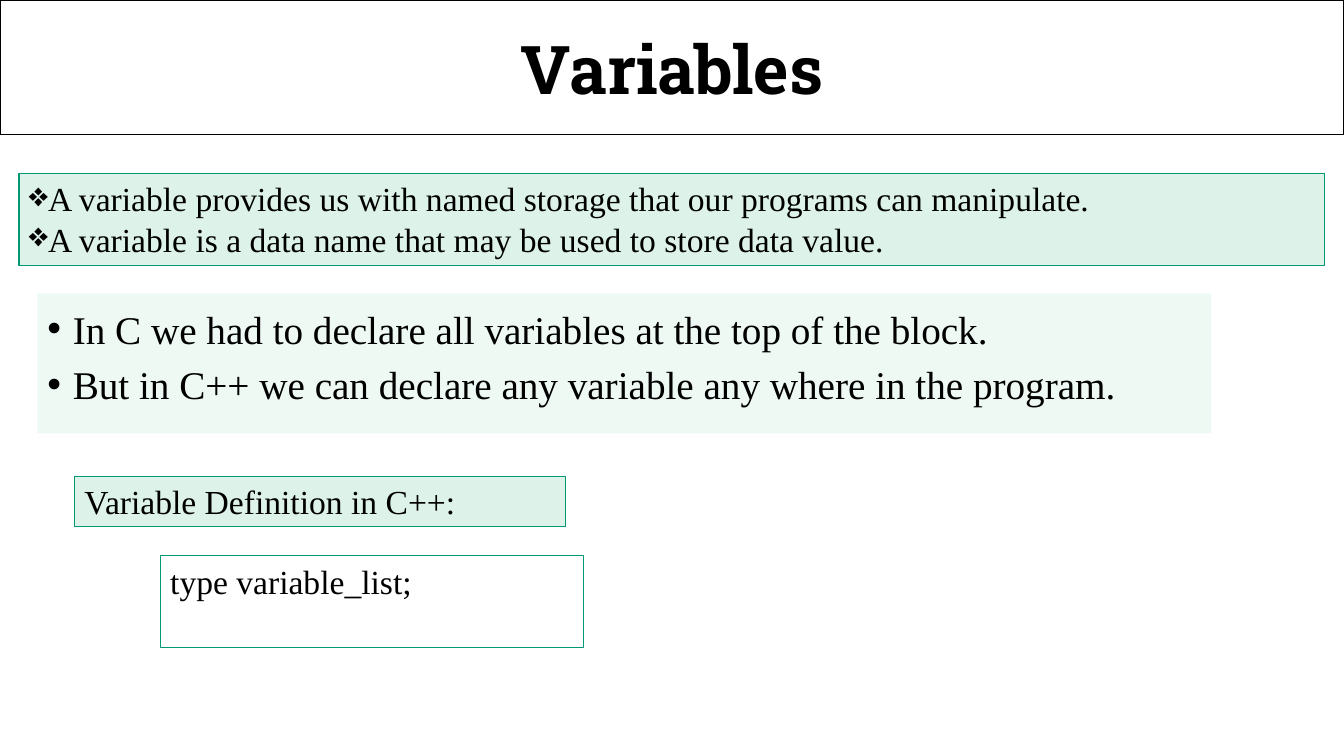
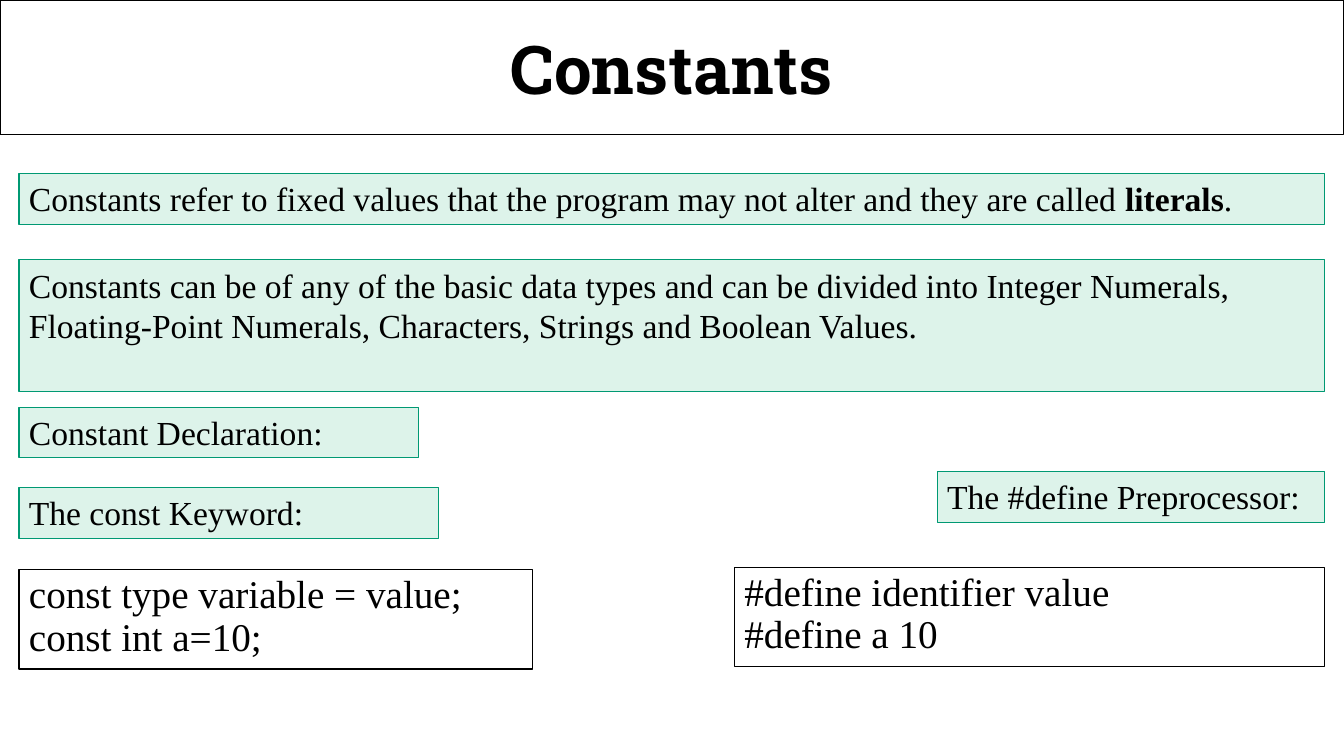
from dataclasses import dataclass
from typing import Any

from lxml.etree import SubElement
from pptx import Presentation
from pptx.dml.color import RGBColor
from pptx.enum.text import MSO_ANCHOR, MSO_AUTO_SIZE, PP_ALIGN
from pptx.oxml.ns import qn
from pptx.util import Cm, Pt


@dataclass(frozen=True)
class Theme:
    ink: RGBColor = RGBColor(0x00, 0x00, 0x00)
    paper: RGBColor = RGBColor(0xFF, 0xFF, 0xFF)
    mint: RGBColor = RGBColor(0xDD, 0xF3, 0xEA)
    pale_mint: RGBColor = RGBColor(0xEE, 0xF9, 0xF4)
    green: RGBColor = RGBColor(0x00, 0x99, 0x73)
    title_font: str = "Roboto Slab"
    text_font: str = "Times New Roman"
    title_size: int = 48
    large_size: int = 28
    text_size: int = 24
    border: float = 0.75


THEME = Theme()
WIDTH, HEIGHT = 33.87, 19.05
TITLE_HEIGHT = 3.4
MARGIN = 0.48
RIGHT = WIDTH - MARGIN
FULL = RIGHT - MARGIN
LABEL_HEIGHT = 1.28
TITLE_AND_BODY, TITLE_ONLY = 1, 5


@dataclass(frozen=True)
class Style:
    fill: RGBColor
    line: RGBColor | None
    size: int = THEME.text_size
    font: str = THEME.text_font
    bold: bool = False
    align: PP_ALIGN = PP_ALIGN.LEFT
    anchor: MSO_ANCHOR = MSO_ANCHOR.TOP
    line_spacing: float = 1.0
    space_before: float = 0
    bullet: str = ""
    indent: float = 0


TITLE = Style(THEME.paper, THEME.ink, THEME.title_size, THEME.title_font, True,
              PP_ALIGN.CENTER, MSO_ANCHOR.MIDDLE)
NOTE = Style(THEME.mint, THEME.green)
POINTS = Style(THEME.mint, THEME.green, align=PP_ALIGN.JUSTIFY, bullet="❖")
SYNTAX = Style(THEME.paper, THEME.green)
CODE = Style(THEME.paper, THEME.ink, THEME.large_size, line_spacing=0.9, space_before=10)
BODY = Style(THEME.pale_mint, None, THEME.large_size, line_spacing=1.14,
             space_before=1, bullet="•", indent=0.64)


@dataclass(frozen=True)
class Panel:
    left: float
    top: float
    width: float
    height: float
    style: Style
    paragraphs: tuple[str, ...]
    strong: str = ""


@dataclass(frozen=True)
class Page:
    title: str
    panels: tuple[Panel, ...]
    body: Panel | None = None


PAGES = (
    Page(
        "Variables",
        (
            Panel(MARGIN, 4.37, FULL, 2.31, POINTS, (
                "A variable provides us with named storage that our programs can manipulate.",
                "A variable is a data name that may be used to store data value.",
            )),
            Panel(1.88, 12, 12.37, LABEL_HEIGHT, NOTE, ("Variable Definition in C++:",)),
            Panel(4.04, 14, 10.67, 2.31, SYNTAX, ("type variable_list;",)),
        ),
        Panel(0.94, 7.39, 29.59, 3.53, BODY, (
            "In C we had to declare all variables at the top of the block.",
            "But in C++ we can declare any variable any where in the program.",
        )),
    ),
    Page(
        "Constants",
        (
            Panel(MARGIN, 4.37, FULL, LABEL_HEIGHT, NOTE, (
                "Constants refer to fixed values that the program may not alter "
                "and they are called literals.",
            ), "literals"),
            Panel(MARGIN, 6.54, FULL, 3.33, NOTE, (
                "Constants can be of any of the basic data types and can be divided into "
                "Integer Numerals, Floating-Point Numerals, Characters, Strings and "
                "Boolean Values.",
            )),
            Panel(MARGIN, 10.26, 10.07, LABEL_HEIGHT, NOTE, ("Constant Declaration:",)),
            Panel(MARGIN, 12.28, 10.57, LABEL_HEIGHT, NOTE, ("The const Keyword:",)),
            Panel(RIGHT - 9.77, 11.88, 9.77, LABEL_HEIGHT, NOTE,
                  ("The #define Preprocessor:",)),
            Panel(MARGIN, 14.36, 12.93, 2.5, CODE,
                  ("const type variable = value;\nconst int a=10;",)),
            Panel(RIGHT - 14.88, 14.3, 14.88, 2.5, CODE,
                  ("#define identifier value\n#define a 10",)),
        ),
    ),
)


def apply_format(target: Any, values: dict[str, Any]) -> None:
    for name, value in values.items():
        setattr(target, name, value)


def set_bullet(paragraph: Any, style: Style) -> None:
    properties = paragraph._p.get_or_add_pPr()
    properties.set("marL", str(Cm(style.indent)))
    properties.set("indent", str(-Cm(style.indent)))
    if style.bullet:
        SubElement(properties, qn("a:buChar")).set("char", style.bullet)
    else:
        SubElement(properties, qn("a:buNone"))


def write_paragraph(paragraph: Any, text: str, style: Style, strong: str) -> None:
    apply_format(paragraph, {
        "alignment": style.align,
        "line_spacing": style.line_spacing,
        "space_before": Pt(style.space_before),
        "space_after": Pt(0),
    })
    set_bullet(paragraph, style)
    pieces = text.partition(strong) if strong else (text,)
    for line_number, line in enumerate(text.split("\n") if not strong else [""]):
        if line_number:
            paragraph.add_line_break()
        for piece in pieces if strong else (line,):
            run = paragraph.add_run()
            run.text = piece
            apply_format(run.font, {
                "name": style.font,
                "size": Pt(style.size),
                "bold": style.bold or piece == strong,
            })
            run.font.color.rgb = THEME.ink


def format_panel(shape: Any, panel: Panel) -> None:
    style = panel.style
    apply_format(shape, {
        "left": Cm(panel.left),
        "top": Cm(panel.top),
        "width": Cm(panel.width),
        "height": Cm(panel.height),
    })
    shape.fill.solid()
    shape.fill.fore_color.rgb = style.fill
    if style.line is None:
        shape.line.fill.background()
    else:
        shape.line.color.rgb = style.line
        shape.line.width = Pt(THEME.border)
    frame = shape.text_frame
    apply_format(frame, {
        "word_wrap": True,
        "auto_size": MSO_AUTO_SIZE.NONE,
        "vertical_anchor": style.anchor,
    })
    for number, text in enumerate(panel.paragraphs):
        paragraph = frame.add_paragraph() if number else frame.paragraphs[0]
        write_paragraph(paragraph, text, style, panel.strong)


def add_page(presentation: Any, page: Page) -> None:
    layout = TITLE_AND_BODY if page.body else TITLE_ONLY
    slide = presentation.slides.add_slide(presentation.slide_layouts[layout])
    format_panel(slide.shapes.title, Panel(0, 0, WIDTH, TITLE_HEIGHT, TITLE, (page.title,)))
    if page.body:
        format_panel(slide.placeholders[1], page.body)
    for panel in page.panels:
        format_panel(slide.shapes.add_textbox(0, 0, 0, 0), panel)


def main() -> None:
    presentation = Presentation()
    apply_format(presentation, {"slide_width": Cm(WIDTH), "slide_height": Cm(HEIGHT)})
    for page in PAGES:
        add_page(presentation, page)
    presentation.save("out.pptx")


if __name__ == "__main__":
    main()
